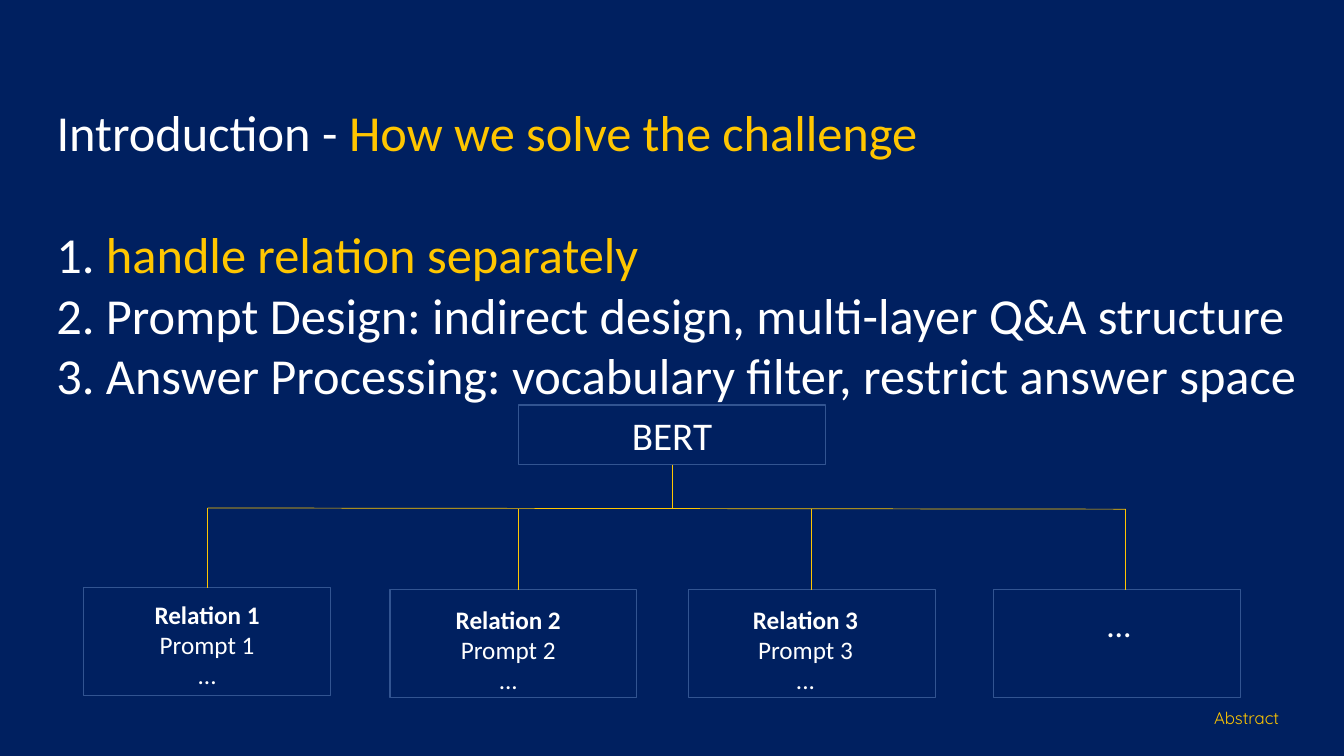
"""Build the introduction slide with its relation tree."""
from dataclasses import dataclass

from lxml import etree
from pptx import Presentation
from pptx import util as u
from pptx.dml.color import RGBColor
from pptx.enum import shapes, text
from pptx.oxml import ns

NAVY = RGBColor(0x00, 0x20, 0x60)
GOLD = RGBColor(0xFF, 0xC6, 0x00)
WHITE = RGBColor(0xFF, 0xFF, 0xFF)
OUTLINE = RGBColor(0x32, 0x54, 0x91)

LEFT, CENTER, RIGHT = text.PP_ALIGN.LEFT, text.PP_ALIGN.CENTER, text.PP_ALIGN.RIGHT
INSET = 0.25
RAIL_LEFT, RAIL_RIGHT = 12.8, 12.83


@dataclass(frozen=True)
class Run:
    """A stretch of text in one format."""
    words: str
    size: float
    color: RGBColor = WHITE
    bold: bool = False
    font: str = "Calibri"


@dataclass(frozen=True)
class Node:
    """A framed box of the tree, in centimetres."""
    left: float
    top: float
    lines: list[list[Run]]
    width: float = 6.22
    height: float = 2.72
    text_top: float = 0.36
    nudge: float = 0
    branch: float = 0


def relation(number: int) -> list[list[Run]]:
    """Return the lines of one relation box."""
    return [[Run(f"Relation {number}", 18, bold=True)],
            [Run(f"Prompt {number}", 18)],
            [Run("...", 18)]]


HEADING = [[Run("Introduction - ", 36), Run("How we solve the challenge", 36, GOLD)]]
STEPS = [
    [Run("1. ", 36), Run("handle relation separately", 36, GOLD)],
    [Run("2. Prompt Design: indirect design, multi-layer Q&A structure", 36)],
    [Run("3. Answer Processing: vocabulary filter, restrict answer space", 36)],
]
SECTION = [[Run("Abstract", 12, GOLD, font="Quicksand")]]
MODEL = Node(13.06, 10.21, [[Run("BERT", 28)]], 7.75, 1.5, 0.15)
RELATIONS = [
    Node(2.11, 14.81, relation(1), text_top=0.28, branch=5.23),
    Node(9.83, 14.86, relation(2), nudge=-0.13, branch=13.06),
    Node(17.35, 14.86, relation(3), nudge=-0.16, branch=20.45),
    Node(25.04, 14.86, [[Run("...", 24)]], nudge=0.05, branch=28.37),
]


def write(frame, lines: list[list[Run]], align, **layout) -> None:
    """Fill a text frame with formatted lines."""
    settings = {"word_wrap": True, "auto_size": text.MSO_AUTO_SIZE.NONE,
                "vertical_anchor": text.MSO_ANCHOR.TOP, **layout}
    for name, value in settings.items():
        setattr(frame, name, value)
    for index, line in enumerate(lines):
        paragraph = frame.paragraphs[0] if index == 0 else frame.add_paragraph()
        paragraph.alignment = align
        for part in line:
            run = paragraph.add_run()
            run.text = part.words
            run.font.color.rgb = part.color
            look = {"name": part.font, "size": u.Pt(part.size), "bold": part.bold}
            for name, value in look.items():
                setattr(run.font, name, value)


def add_label(slide, left: float, top: float, width: float, height: float,
              lines: list[list[Run]], align) -> None:
    """Add a plain text box."""
    label = slide.shapes.add_textbox(u.Cm(left), u.Cm(top), u.Cm(width), u.Cm(height))
    write(label.text_frame, lines, align)


def add_node(slide, node: Node) -> None:
    """Draw a framed box with its text."""
    box = slide.shapes.add_shape(shapes.MSO_SHAPE.RECTANGLE, u.Cm(node.left),
                                 u.Cm(node.top), u.Cm(node.width), u.Cm(node.height))
    box.shadow.inherit = False
    box.fill.background()
    box.line.color.rgb = OUTLINE
    box.line.width = u.Pt(1)
    write(box.text_frame, node.lines, CENTER, margin_top=u.Cm(node.text_top),
          margin_bottom=0, margin_left=u.Cm(INSET + node.nudge),
          margin_right=u.Cm(INSET - node.nudge))


def add_branch(slide, x1: float, y1: float, x2: float, y2: float) -> None:
    """Draw a thin gold line of the tree."""
    branch = slide.shapes.add_connector(shapes.MSO_CONNECTOR.STRAIGHT,
                                        u.Cm(x1), u.Cm(y1), u.Cm(x2), u.Cm(y2))
    branch.line.color.rgb = GOLD
    branch.line.width = u.Pt(0.5)
    etree.SubElement(branch._element.spPr, ns.qn("a:effectLst"))


def main() -> None:
    """Build and save the slide."""
    deck = Presentation()
    deck.slide_width, deck.slide_height = u.Cm(33.87), u.Cm(19.05)
    slide = deck.slides.add_slide(deck.slide_layouts[5])
    slide.background.fill.solid()
    slide.background.fill.fore_color.rgb = NAVY

    heading = slide.shapes.title
    place = {"left": 1.17, "top": 2.41, "width": 32.41, "height": 1.8}
    for name, value in place.items():
        setattr(heading, name, u.Cm(value))
    write(heading.text_frame, HEADING, LEFT)
    add_label(slide, 1.17, 5.51, 32.41, 4.85, STEPS, LEFT)
    add_label(slide, 27.33, 17.7, 5.16, 0.76, SECTION, RIGHT)

    for node in [MODEL, *RELATIONS]:
        add_node(slide, node)
    add_branch(slide, RELATIONS[0].branch, RAIL_LEFT, RELATIONS[-1].branch, RAIL_RIGHT)
    for node in RELATIONS:
        rail = RAIL_LEFT if node is RELATIONS[0] else RAIL_RIGHT
        add_branch(slide, node.branch, rail, node.branch, node.top)
    stem = MODEL.left + MODEL.width / 2
    add_branch(slide, stem, MODEL.top + MODEL.height, stem, RAIL_RIGHT)

    deck.save("out.pptx")


if __name__ == "__main__":
    main()
